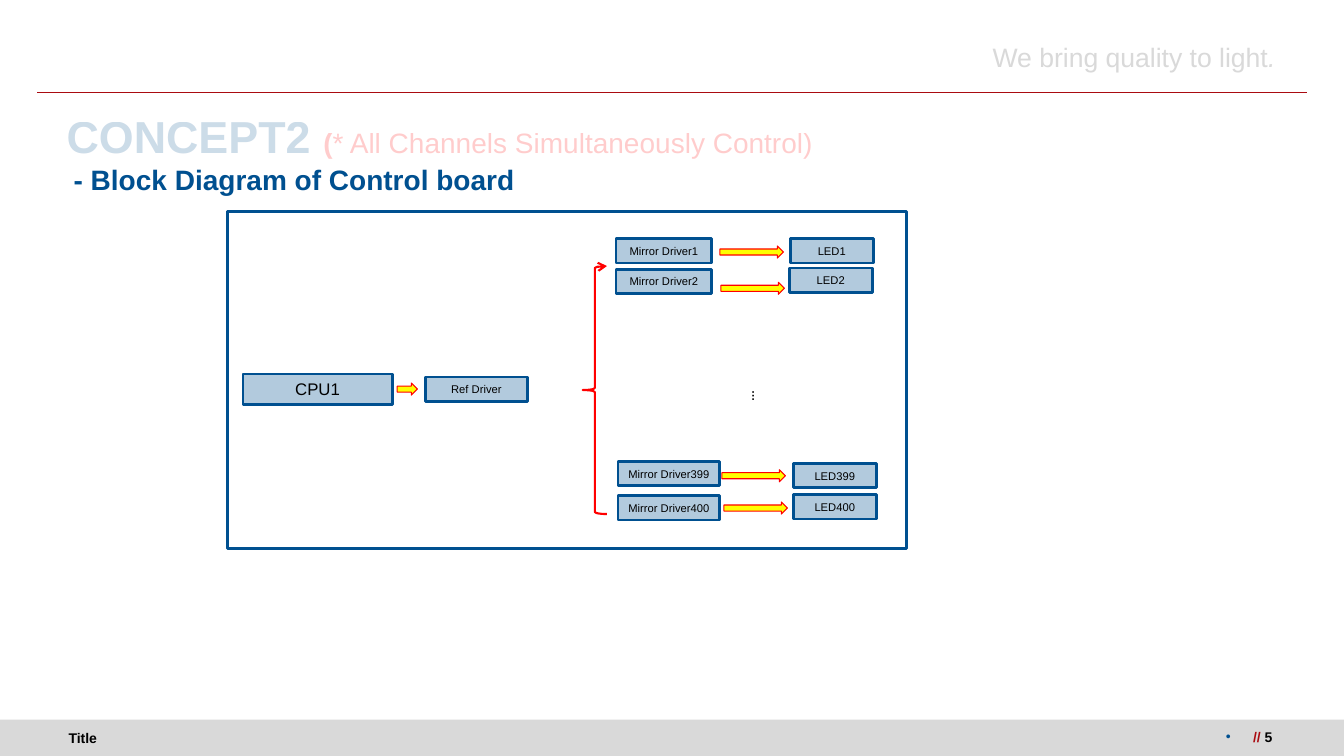
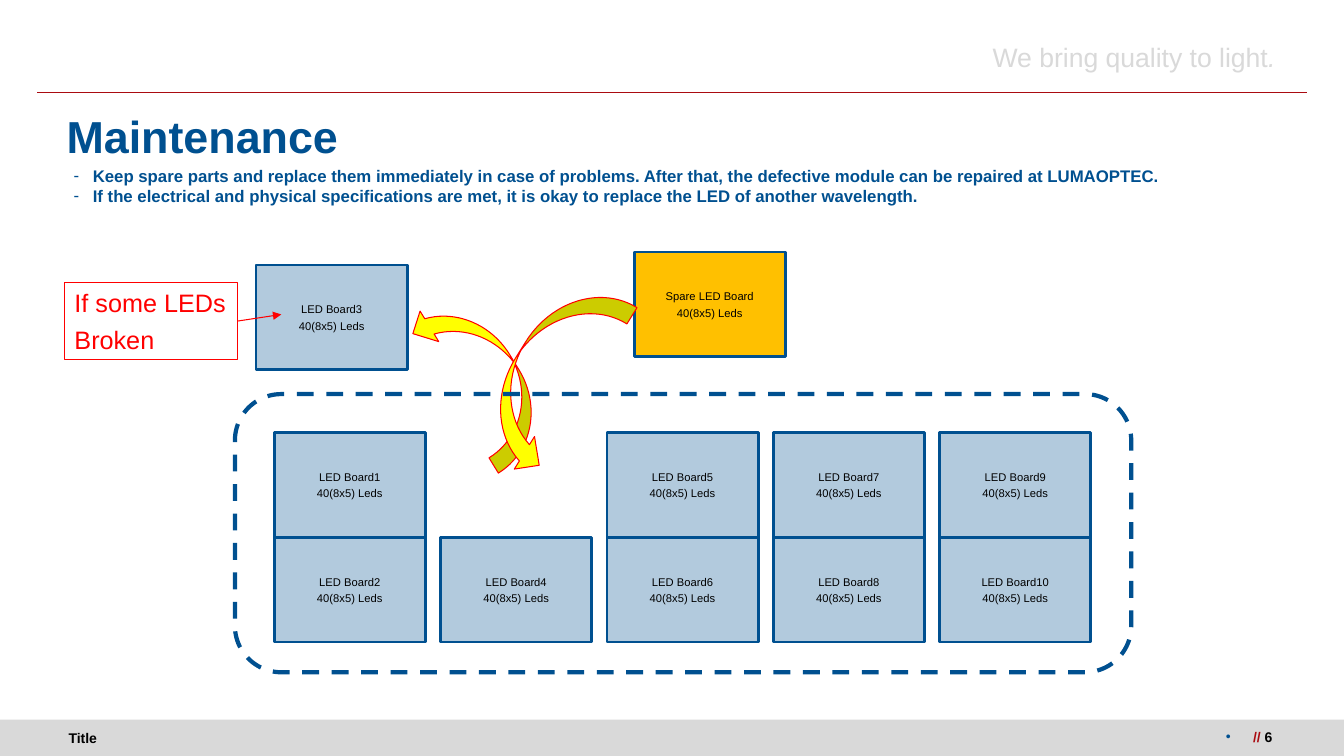
from lxml.etree import SubElement
from pptx import Presentation
from pptx.dml.color import RGBColor
from pptx.enum.dml import MSO_LINE as Dash
from pptx.enum.shapes import MSO_CONNECTOR as Link, MSO_SHAPE as Kind
from pptx.enum.text import MSO_ANCHOR as Anchor, MSO_AUTO_SIZE as Auto, PP_ALIGN as Align
from pptx.oxml.ns import qn
from pptx.util import Inches, Pt

BLUE = RGBColor(0x00, 0x50, 0x90)
PALE = RGBColor(0xB2, 0xCA, 0xDD)
GOLD = RGBColor(0xFF, 0xC0, 0x00)
YELLOW = RGBColor(0xFF, 0xFF, 0x00)
RED = RGBColor(0xFF, 0x00, 0x00)
CRIMSON = RGBColor(0xAA, 0x0B, 0x11)
GREY = RGBColor(0xD9, 0xD9, 0xD9)
BLACK = RGBColor(0x00, 0x00, 0x00)
FONT = "Arial"
WIDE = (0.13, 0.07, 0.13, 0.07)
SLIM = (0.1, 0.05, 0.1, 0.05)


class Deck:
    """Holds the style and the current slide."""

    def __init__(self):
        self.prs = Presentation()
        self.prs.slide_width = Inches(13.33)
        self.prs.slide_height = Inches(7.5)
        self.slide = None

    # Text
    def style(self, run, size, color, bold=False, alpha=None):
        font = run.font
        font.name, font.size, font.bold = FONT, Pt(size), bold
        font.color.rgb = color
        if alpha:
            tint = run._r.find(".//" + qn("a:srgbClr"))
            SubElement(tint, qn("a:alpha"), val=str(alpha * 1000))

    def add(self, par, text, *look):
        run = par.add_run()
        run.text = text
        self.style(run, *look)
        return run

    def fill(self, shape, text, size, color, bold=False, align=Align.LEFT,
             anchor=Anchor.MIDDLE, pad=SLIM, gap=0, wrap=True, alpha=None):
        frame = shape.text_frame
        frame.text = text
        frame.auto_size, frame.word_wrap = Auto.NONE, wrap
        frame.vertical_anchor = anchor
        (frame.margin_left, frame.margin_top,
         frame.margin_right, frame.margin_bottom) = map(Inches, pad)
        for i, par in enumerate(frame.paragraphs):
            par.alignment = align
            par.space_before = Pt(gap if i else 0)
            for run in par.runs:
                self.style(run, size, color, bold, alpha)
        return frame.paragraphs

    def bullet(self, par, mark, hang):
        props = par._p.get_or_add_pPr()
        props.set("marL", str(Inches(hang)))
        props.set("indent", str(-Inches(hang)))
        if not mark:
            SubElement(props, qn("a:buNone"))
            return
        tint = SubElement(props, qn("a:buClr"))
        SubElement(tint, qn("a:srgbClr"), val=str(BLUE))
        SubElement(props, qn("a:buFont"), typeface=FONT)
        SubElement(props, qn("a:buChar"), char=mark)

    def label(self, at, text, size, color, **look):
        box = self.slide.shapes.add_textbox(*map(Inches, at))
        return box, self.fill(box, text, size, color, **look)

    # Placeholders
    def place(self, holder, at):
        holder.left, holder.top, holder.width, holder.height = map(Inches, at)

    def title(self, text, alpha=None):
        holder = self.slide.shapes.title
        self.place(holder, (0.53, 0.99, 12.22, 0.71))
        return self.fill(holder, text, 32, BLUE, True, pad=WIDE, alpha=alpha)[0]

    def body(self, top, text, size, mark=None):
        holder = self.slide.placeholders[1]
        self.place(holder, (0.6, top, 12.22, 0.71))
        for par in self.fill(holder, text, size, BLUE, True, pad=WIDE):
            self.bullet(par, mark, 0.19 if mark else 0)

    # Shapes and lines
    def shape(self, kind, at, fill=None, line=None, width=0.75, turn=0):
        item = self.slide.shapes.add_shape(kind, *map(Inches, at))
        item.shadow.inherit = False
        item.rotation = turn
        if fill is None:
            item.fill.background()
        else:
            item.fill.solid()
            item.fill.fore_color.rgb = fill
        if line is None:
            item.line.fill.background()
        else:
            item.line.color.rgb = line
            item.line.width = Pt(width)
        return item

    def box(self, at, text, size=8, fill=PALE):
        item = self.shape(Kind.RECTANGLE, at, fill, BLUE, 2)
        self.fill(item, text, size, BLACK, align=Align.CENTER, gap=2)

    def arrow(self, x, y, width=0.63):
        self.shape(Kind.RIGHT_ARROW, (x, y, width, 0.12), YELLOW, RED)

    def line(self, x1, y1, x2, y2, color):
        item = self.slide.shapes.add_connector(
            Link.STRAIGHT, *map(Inches, (x1, y1, x2, y2)))
        item.line.color.rgb = color
        item.line.width = Pt(0.75)
        SubElement(item.element.spPr, qn("a:effectLst"))
        return item

    def tip(self, item, kind):
        edge = item.element.spPr.find(qn("a:ln"))
        SubElement(edge, qn("a:tailEnd"), type=kind)

    # Frame shared by all slides
    def new(self, page):
        self.slide = self.prs.slides.add_slide(self.prs.slide_layouts[1])
        self.shape(Kind.RECTANGLE, (0, 7.14, 13.33, 0.36), GREY)
        self.line(0.37, 0.92, 12.96, 0.92, CRIMSON)
        self.label((0.65, 7.14, 4.83, 0.36), "Title", 10, BLACK, bold=True,
                   pad=(0.03, 0.07, 0.13, 0.07))
        _, pars = self.label((9.19, 0.34, 3.59, 0.45), "We bring quality to light",
                             19, GREY, align=Align.RIGHT, pad=WIDE)
        self.add(pars[0], ".", 19, GREY).font.italic = True
        _, pars = self.label((10.76, 7.16, 1.99, 0.37), "// ", 10, CRIMSON, bold=True,
                             align=Align.RIGHT, anchor=Anchor.TOP, pad=WIDE)
        self.bullet(pars[0], "•", 0.27)
        self.add(pars[0], str(page), 10, BLACK, True)


def diagram(deck):
    deck.new(5)
    par = deck.title("CONCEPT2 ", 20)
    deck.add(par, "(", 20, RED, True, 20)
    deck.add(par, "* All Channels Simultaneously Control)", 20, RED, False, 20)
    deck.body(1.42, "- Block Diagram of Control board", 20)

    # Board outline, processor and reference driver
    deck.shape(Kind.RECTANGLE, (2.26, 2.1, 6.73, 3.34), None, BLUE, 2.25)
    deck.box((2.41, 3.71, 1.48, 0.3), "CPU1", 12)
    deck.arrow(3.94, 3.8, 0.2)
    deck.box((4.22, 3.74, 1.01, 0.24), "Ref Driver")
    brace = deck.shape(Kind.LEFT_BRACE, (5.78, 2.64, 0.24, 2.46), None, RED, 1.5)
    deck.tip(brace, "arrow")

    # Channels: number, driver x, y, width, arrow x, y, LED x, y
    rows = [
        (1, 6.11, 2.37, 0.95, 7.14, 2.44, 7.84, 2.37),
        (2, 6.11, 2.67, 0.95, 7.15, 2.8, 7.83, 2.66),
        (399, 6.13, 4.58, 1.01, 7.16, 4.66, 7.87, 4.6),
        (400, 6.13, 4.92, 1.01, 7.18, 4.98, 7.87, 4.91),
    ]
    for num, x, y, width, tail, mid, led, top in rows:
        deck.box((x, y, width, 0.24), f"Mirror Driver{num}")
        deck.arrow(tail, mid)
        deck.box((led, top, 0.82, 0.24), f"LED{num}")
    dots, _ = deck.label((7.35, 3.81, 0.31, 0.24), "…", 8, BLACK, bold=True, wrap=False)
    dots.rotation = 90


def upkeep(deck):
    deck.new(6)
    deck.title("Maintenance")
    deck.body(1.49, "Keep spare parts and replace them immediately in case of problems. "
              "After that, the defective module can be repaired at LUMAOPTEC.\n"
              "If the electrical and physical specifications are met, "
              "it is okay to replace the LED of another wavelength.", 12, "-")

    # Spare board and the swap arrows
    size, note = (1.5, 1.04), "\n40(8x5) Leds"
    deck.box((6.29, 2.5, *size), "Spare LED Board" + note, fill=GOLD)
    for at, turn in (((4.42, 2.84, 0.71, 1.8), 148.5), ((5.08, 2.7, 0.76, 2.03), 31.8)):
        deck.shape(Kind.CURVED_RIGHT_ARROW, at, YELLOW, RED, turn=turn)

    # Boards in columns of two; the broken one is taken out
    for num in range(1, 11):
        col, row = divmod(num - 1, 2)
        spot = (2.54, 2.63) if num == 3 else (2.72 + 1.65 * col, 4.29 + 1.04 * row)
        deck.box((*spot, *size), f"LED Board{num}" + note)
    rack = deck.shape(Kind.ROUNDED_RECTANGLE, (2.33, 3.91, 8.89, 2.76), None, BLUE, 3)
    rack.line.dash_style = Dash.DASH

    # Callout
    call = deck.shape(Kind.RECTANGLE, (0.64, 2.8, 1.72, 0.77), None, RED)
    deck.fill(call, "If some LEDs\nBroken", 18, RED, gap=5, wrap=False)
    lead = deck.line(2.36, 3.18, 2.79, 3.12, RED)
    lead.begin_connect(call, 3)
    deck.tip(lead, "triangle")


def main():
    deck = Deck()
    diagram(deck)
    upkeep(deck)
    deck.prs.save("out.pptx")


if __name__ == "__main__":
    main()
